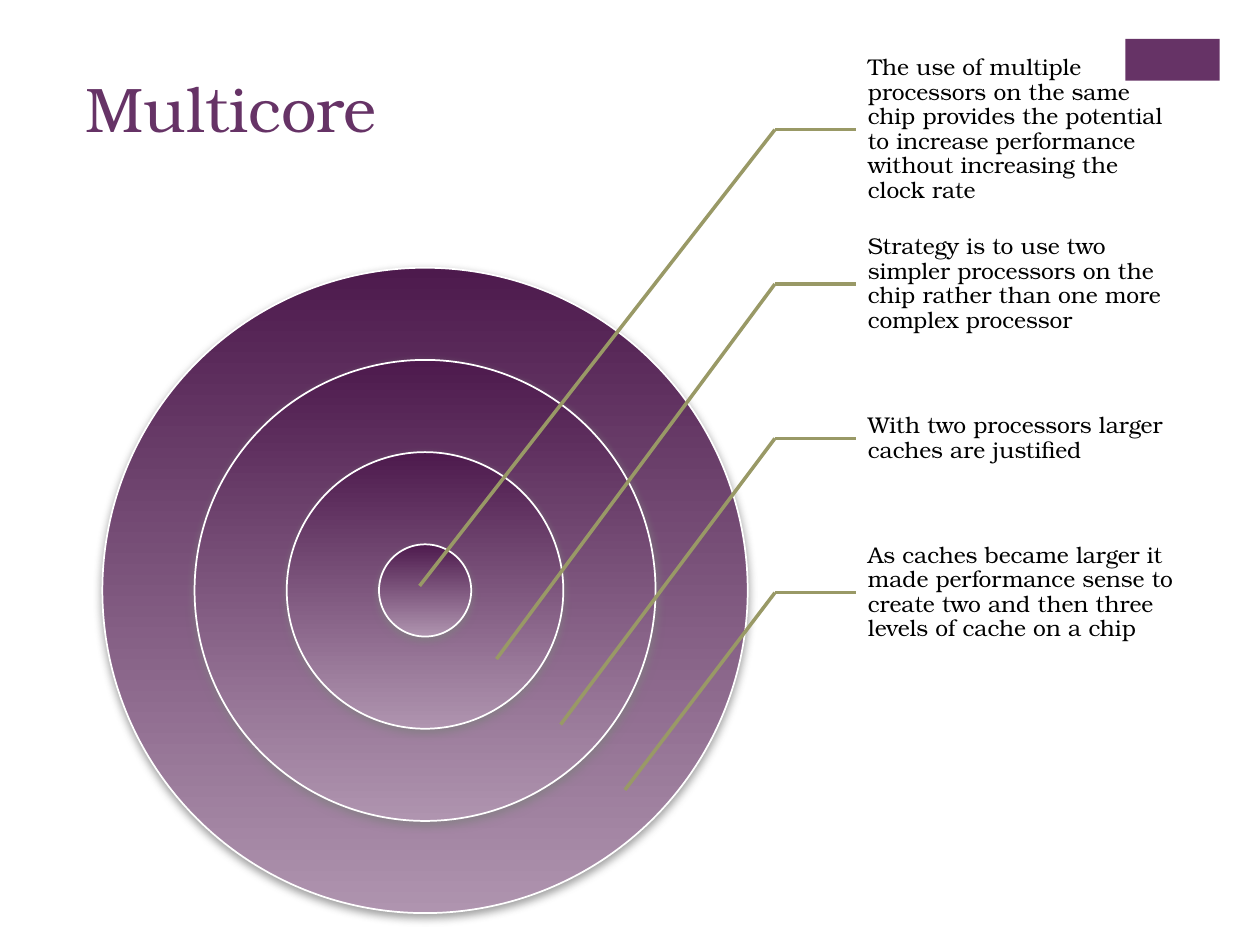
import dataclasses

import pptx
import pptx.dml.color
import pptx.enum.shapes
import pptx.enum.text
import pptx.oxml
import pptx.oxml.ns
import pptx.util

Pt = pptx.util.Pt
RGB = pptx.dml.color.RGBColor.from_string
SHAPE = pptx.enum.shapes.MSO_SHAPE
ANCHOR = pptx.enum.text.MSO_ANCHOR


@dataclasses.dataclass(frozen=True)
class Theme:
    """Colours, font and type sizes of the slide."""
    accent: str = "663366"
    ring_top: str = "4D1A4D"
    ring_bottom: str = "AF94AF"
    ring_line: str = "FFFFFF"
    shadow: str = "808080"
    leader: str = "999966"
    text: str = "000000"
    font: str = "TeX Gyre Bonum"
    title_size: float = 36
    note_size: float = 13


THEME = Theme()
NOTES = [
    ("The use of multiple processors on the same chip provides the potential "
     "to increase performance without increasing the clock rate", (239.8, 334.8)),
    ("Strategy is to use two simpler processors on the chip rather than one "
     "more complex processor", (283.7, 376.6)),
    ("With two processors larger caches are justified", (320.4, 414)),
    ("As caches became larger it made performance sense to create two and then "
     "three levels of cache on a chip", (357.1, 451.4)),
]


def add_text(slide, text, box, size, color, anchor=ANCHOR.TOP,
             insets=(7.2, 3.6, 7.2, 3.6), spacing=1.0):
    """Add a wrapped text box in the given box and return it."""
    sp = slide.shapes.add_textbox(*map(Pt, box))
    tf = sp.text_frame
    tf.word_wrap = True
    tf.vertical_anchor = anchor
    tf.margin_left, tf.margin_top, tf.margin_right, tf.margin_bottom = map(Pt, insets)
    p = tf.paragraphs[0]
    p.line_spacing = spacing
    r = p.add_run()
    r.text = text
    r.font.name = THEME.font
    r.font.size = Pt(size)
    r.font.color.rgb = RGB(color)
    return sp


def add_leader(slide, start, end):
    """Add a plain leader line between two points and return it."""
    line = slide.shapes.add_connector(
        pptx.enum.shapes.MSO_CONNECTOR.STRAIGHT, *map(Pt, start + end))
    line.line.color.rgb = RGB(THEME.leader)
    line.line.width = Pt(2)
    line._element.spPr.append(pptx.oxml.parse_xml(
        f'<a:effectLst {pptx.oxml.ns.nsdecls("a")}/>'))
    return line


def add_ring(slide, box):
    """Add one shaded disc with a soft shadow below it."""
    sp = slide.shapes.add_shape(SHAPE.OVAL, *map(Pt, box))
    sp.fill.gradient()
    sp.fill.gradient_angle = 270
    stops = zip(sp.fill.gradient_stops, (0, 1), (THEME.ring_top, THEME.ring_bottom))
    for stop, position, color in stops:
        stop.position = position
        stop.color.rgb = RGB(color)
    sp.line.color.rgb = RGB(THEME.ring_line)
    sp.line.width = Pt(1)
    sp.shadow.inherit = False
    effects = sp._element.spPr.find(pptx.oxml.ns.qn("a:effectLst"))
    effects.append(pptx.oxml.parse_xml(
        f'<a:outerShdw {pptx.oxml.ns.nsdecls("a")} blurRad="{Pt(5)}" dist="{Pt(2)}" '
        f'dir="5400000" rotWithShape="0"><a:srgbClr val="{THEME.shadow}">'
        '<a:alpha val="75000"/></a:srgbClr></a:outerShdw>'))


def add_target(slide, box):
    """Place four concentric rings, 7, 5, 3 and 1 units wide, in the box."""
    left, top, size = box
    for units in (7, 5, 3, 1):
        diameter = size * units / 7
        inset = (size - diameter) / 2
        add_ring(slide, (left + inset, top + inset, diameter, diameter))


def add_notes(slide, box, elbow_x):
    """Stack the notes in the box, each with a bent leader to its ring."""
    left, top, width, height = box
    row = height / len(NOTES)
    for i, (text, target) in enumerate(NOTES):
        y = top + i * row
        note = add_text(slide, text, (left, y, width, row), THEME.note_size, THEME.text,
                        anchor=ANCHOR.MIDDLE, insets=(7.2, 1.4, 1.4, 1.4), spacing=0.9)
        elbow = (elbow_x, y + row / 2)
        add_leader(slide, elbow, (left, y + row / 2)).end_connect(note, 1)
        add_leader(slide, elbow, target)


def add_header(slide, title_box, tag_box):
    """Place the title and the coloured corner tag."""
    sp = slide.shapes.add_shape(SHAPE.RECTANGLE, *map(Pt, tag_box))
    sp.fill.solid()
    sp.fill.fore_color.rgb = RGB(THEME.accent)
    sp.line.fill.background()
    sp.shadow.inherit = False
    add_text(slide, "Multicore", title_box, THEME.title_size, THEME.accent)


def main():
    """Build and save the slide."""
    prs = pptx.Presentation()
    prs.slide_width, prs.slide_height = Pt(720), Pt(540)
    slide = prs.slides.add_slide(prs.slide_layouts[6])
    add_header(slide, (42, 36, 594.7, 87.8), (643, 22.3, 54, 23.8))
    add_target(slide, (58.5, 153, 368.8))
    add_notes(slide, (488.9, 30, 184.4, 352.8), 442.8)
    prs.save("out.pptx")


if __name__ == "__main__":
    main()
